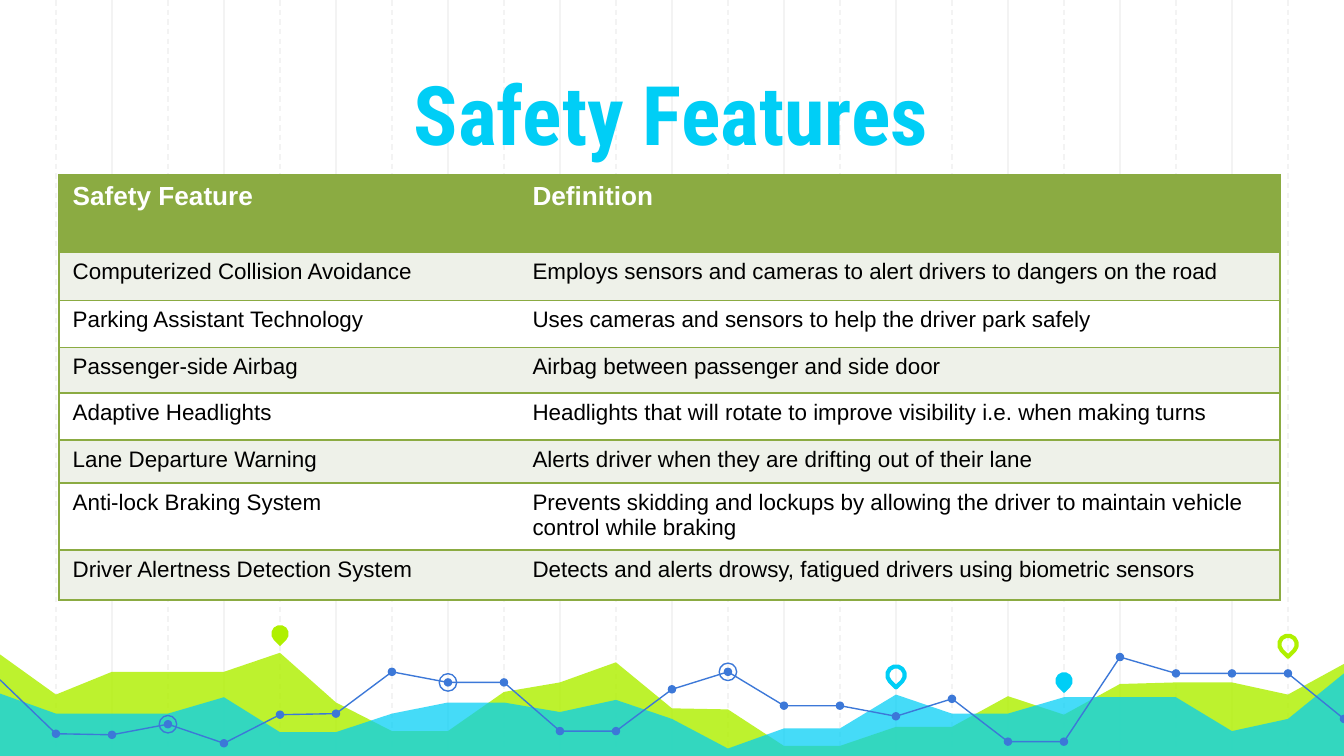
from pptx import Presentation
from pptx.dml.color import RGBColor as Rgb
from pptx.enum.dml import MSO_LINE as Dash
from pptx.enum.shapes import MSO_CONNECTOR as Link, MSO_SHAPE as Form
from pptx.enum.text import MSO_ANCHOR as Anchor, PP_ALIGN as Align
from pptx.oxml.ns import qn
from pptx.util import Cm, Pt
from lxml.etree import SubElement as Sub

HUES = {"lime": "AFF000", "cyan": "00CEF6", "blue": "3C78D8", "grid": "F3F3F3",
        "olive": "8BAB42", "pale": "EEF1E9", "white": "FFFFFF", "black": "000000"}
WIDE, HIGH, BASE = 25.4, 14.29, 14.35
COUNT = 24
STEP = WIDE / COUNT

LIME = [12.37, 13.13, 12.7, 12.7, 12.7, 12.34, 13.28, 13.82, 13.82, 13.08, 12.9, 12.52, 13.39,
        13.41, 14.1, 14.1, 13.74, 13.74, 13.16, 13.51, 12.93, 12.9, 12.9, 13.13, 12.55]
CYAN = [13.11, 13.49, 13.49, 13.49, 13.18, 13.84, 13.84, 13.49, 13.28, 13.28, 13.46, 13.23, 13.59,
        14.15, 13.77, 13.77, 13.13, 13.49, 13.49, 13.18, 13.18, 13.18, 13.82, 13.59, 12.73]
TREND = [12.85, 13.87, 13.89, 13.69, 14.05, 13.51, 13.49, 12.7, 12.9, 12.9, 13.82, 13.82, 13.03,
         12.7, 13.34, 13.34, 13.54, 13.21, 14.02, 14.02, 12.42, 12.73, 12.73, 12.73, 13.59]
PINS = [(5, 11.98, "lime", True), (16, 12.76, "cyan", False),
        (19, 12.87, "cyan", True), (23, 12.18, "lime", False)]

ROWS = [
    (1.47, "Safety Feature", "Definition"),
    (0.91, "Computerized Collision Avoidance",
     "Employs sensors and cameras to alert drivers to dangers on the road"),
    (0.89, "Parking Assistant Technology",
     "Uses cameras and sensors to help the driver park safely"),
    (0.86, "Passenger-side Airbag", "Airbag between passenger and side door"),
    (0.89, "Adaptive Headlights",
     "Headlights that will rotate to improve visibility i.e. when making turns"),
    (0.81, "Lane Departure Warning",
     "Alerts driver when they are drifting out of their lane"),
    (0.89, "Anti-lock Braking System",
     "Prevents skidding and lockups by allowing the driver to maintain vehicle "
     "control while braking"),
    (0.94, "Driver Alertness Detection System",
     "Detects and alerts drowsy, fatigued drivers using biometric sensors"),
]


def hue(name):
    """Return a named colour."""
    return Rgb.from_string(HUES[name])


class Deck:
    """Holds the style and the current slide."""

    def __init__(self, slide):
        """Keep the slide and its shapes."""
        self.slide = slide
        self.shapes = slide.shapes

    def paint(self, shape, fill=None, line=None, width=0.75):
        """Set fill and outline of a shape, each by colour name or none."""
        shape.shadow.inherit = False
        if fill:
            shape.fill.solid()
            shape.fill.fore_color.rgb = hue(fill)
        else:
            shape.fill.background()
        if line:
            shape.line.color.rgb = hue(line)
            shape.line.width = Pt(width)
        else:
            shape.line.fill.background()

    def rule(self, x, dash):
        """Draw one vertical grid line."""
        line = self.shapes.add_connector(Link.STRAIGHT, Cm(x), Cm(0), Cm(x), Cm(BASE))
        line.line.color.rgb = hue("grid")
        line.line.width = Pt(0.75)
        if dash:
            line.line.dash_style = Dash.DASH
        Sub(line._element.spPr, qn("a:effectLst"))

    def trace(self, points, close):
        """Draw a freeform through points."""
        spots = [(Cm(x), Cm(y)) for x, y in points]
        outline = self.shapes.build_freeform(*spots[0], scale=1.0)
        outline.add_line_segments(spots[1:], close=close)
        return outline.convert_to_shape()

    def area(self, levels, fill, alpha):
        """Draw a see-through area from the levels down to the base."""
        points = [(i * STEP, y) for i, y in enumerate(levels)]
        shape = self.trace(points + [(WIDE, BASE), (0, BASE)], True)
        self.paint(shape, fill)
        tint = shape._element.spPr.find(qn("a:solidFill"))[0]
        Sub(tint, qn("a:alpha"), val=str(alpha * 1000))

    def trend(self, levels, start, end):
        """Draw one stretch of the trend line."""
        points = [(i * STEP, levels[i]) for i in range(start, end + 1)]
        self.paint(self.trace(points, False), line="blue")

    def mark(self, form, spot, y, size, **style):
        """Draw a small shape centred on a grid line."""
        shape = self.shapes.add_shape(form, Cm(spot * STEP - size / 2), Cm(y - size / 2),
                                      Cm(size), Cm(size))
        self.paint(shape, **style)
        return shape

    def pin(self, spot, y, color, solid):
        """Draw a map pin, solid or open."""
        style = {"fill": color} if solid else {"line": color, "width": 2.25}
        self.mark(Form.TEAR, spot, y, 0.33, **style).rotation = 135

    def add_run(self, para, text, face, size, color, bold):
        """Add one run of text."""
        run = para.add_run()
        run.text = text
        font = run.font
        font.name, font.size, font.bold = face, Pt(size), bold
        font.color.rgb = hue(color)

    def title(self, text, x, y, w, h):
        """Add the centred title."""
        frame = self.shapes.add_textbox(Cm(x), Cm(y), Cm(w), Cm(h)).text_frame
        frame.word_wrap = True
        frame.vertical_anchor = Anchor.BOTTOM
        frame.margin_left = frame.margin_right = Cm(0.25)
        frame.margin_top = frame.margin_bottom = Cm(0.25)
        para = frame.paragraphs[0]
        para.alignment = Align.CENTER
        self.add_run(para, text, "Roboto Condensed", 44, "cyan", True)

    def edge(self, cell, bare):
        """Give a cell olive borders, except on the bare side."""
        props = cell._tc.get_or_add_tcPr()
        for spot, side in enumerate(("lnL", "lnR", "lnT", "lnB")):
            line = Sub(props, qn("a:" + side), w=str(Pt(1)))
            if side == bare:
                Sub(line, qn("a:noFill"))
            else:
                Sub(Sub(line, qn("a:solidFill")), qn("a:srgbClr"), val=HUES["olive"])
            props.insert(spot, line)

    def table(self, rows, x, y, widths):
        """Add the table with a header and banded rows."""
        high = sum(row[0] for row in rows)
        grid = self.shapes.add_table(len(rows), len(widths), Cm(x), Cm(y),
                                     Cm(sum(widths)), Cm(high)).table
        for col, width in zip(grid.columns, widths):
            col.width = Cm(width)
        for r, (tall, *texts) in enumerate(rows):
            grid.rows[r].height = Cm(tall)
            head = r == 0
            fill = "olive" if head else ("white", "pale")[r % 2]
            look = (14, "white", True) if head else (12, "black", False)
            for c, text in enumerate(texts):
                cell = grid.cell(r, c)
                cell.fill.solid()
                cell.fill.fore_color.rgb = hue(fill)
                self.edge(cell, ("lnR", "lnL")[c])
                self.add_run(cell.text_frame.paragraphs[0], text, "Arial", *look)


def main():
    """Build and save the slide."""
    show = Presentation()
    show.slide_width, show.slide_height = Cm(WIDE), Cm(HIGH)
    deck = Deck(show.slides.add_slide(show.slide_layouts[6]))
    for first in (2, 1):
        for i in range(first, COUNT, 2):
            deck.rule(i * STEP, first == 1)
    deck.area(LIME, "lime", 82)
    deck.area(CYAN, "cyan", 73)
    for pin in PINS:
        deck.pin(*pin)
    for start, end in ((0, 11), (11, 20), (20, COUNT)):
        deck.trend(TREND, start, end)
    for i in range(1, COUNT + 1):
        deck.mark(Form.OVAL, i, TREND[i], 0.16, fill="blue")
    for i in (3, 8, 13):
        deck.mark(Form.OVAL, i, TREND[i], 0.33, line="blue")
    deck.title("Safety Features", 3.53, 0.08, 18.31, 3.23)
    deck.table(ROWS, 1.12, 3.3, (8.69, 14.38))
    show.save("out.pptx")


main()
